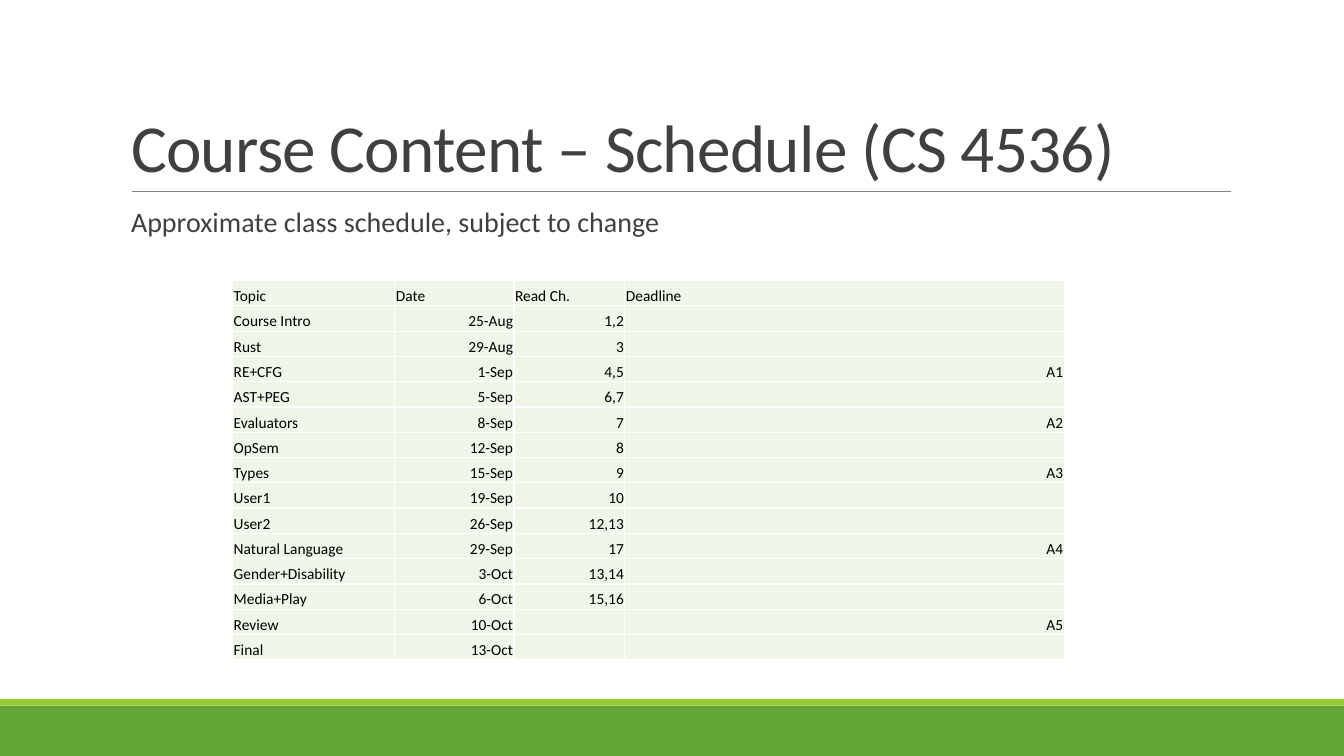
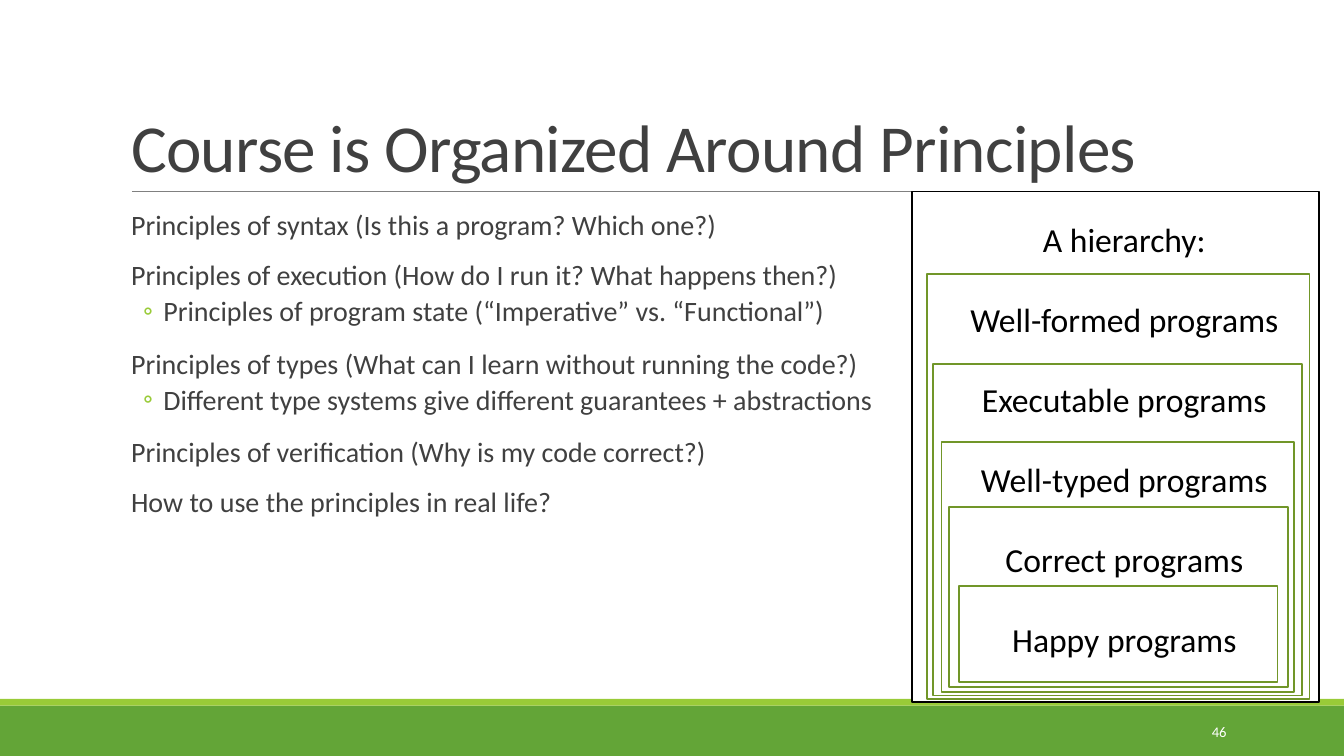
from dataclasses import dataclass

from lxml.etree import SubElement
from pptx import Presentation
from pptx.dml.color import RGBColor
from pptx.enum.shapes import MSO_CONNECTOR, MSO_SHAPE
from pptx.enum.text import MSO_ANCHOR, MSO_AUTO_SIZE, PP_ALIGN
from pptx.oxml.ns import qn
from pptx.shapes.shapetree import GroupShapes, SlideShapes
from pptx.slide import Slide
from pptx.table import _Cell
from pptx.text.text import TextFrame, _Paragraph
from pptx.util import Emu, Inches, Pt

WIDTH, HEIGHT = Inches(13.333), Inches(7.5)
COLS, ROWS = 160, 90

FONT = "Calibri"
BLACK, WHITE, TEXT, RULE = "000000", "FFFFFF", "404040", "808080"
GREEN, LIME, OLIVE, PALE = "63A537", "99CB38", "719629", "EFF6E8"


@dataclass(frozen=True)
class Box:
    col: float
    row: float
    cols: float
    rows: float

    def emu(self) -> tuple[Emu, Emu, Emu, Emu]:
        return across(self.col), down(self.row), across(self.cols), down(self.rows)


@dataclass(frozen=True)
class Level:
    margin: float
    hanging: float
    before: float
    after: float
    bullet: str


@dataclass(frozen=True)
class Item:
    text: str
    level: int = 0


@dataclass(frozen=True)
class Frame:
    box: Box
    line: str = OLIVE


@dataclass(frozen=True)
class Session:
    topic: str
    date: str
    chapters: str = ""
    deadline: str = ""

    def cells(self) -> tuple[str, ...]:
        return self.topic, self.date, self.chapters, self.deadline


LEVELS = (Level(0.1, 0.1, 12, 2, " "), Level(0.42, 0.2, 2, 4, "◦"))
TITLE = Box(14.4, 3.7, 132, 19.1)
BANDS = ((Box(0, 84, COLS, 6), GREEN), (Box(0, 83.2, COLS, 0.8), LIME))

TABLE_COLS = (19.3, 14.2, 13.2, 52.3)
TABLE_ROW = 3.01
SCHEDULE = (
    Session("Topic", "Date", "Read Ch.", "Deadline"),
    Session("Course Intro", "25-Aug", "1,2"),
    Session("Rust", "29-Aug", "3"),
    Session("RE+CFG", "1-Sep", "4,5", "A1"),
    Session("AST+PEG", "5-Sep", "6,7"),
    Session("Evaluators", "8-Sep", "7", "A2"),
    Session("OpSem", "12-Sep", "8"),
    Session("Types", "15-Sep", "9", "A3"),
    Session("User1", "19-Sep", "10"),
    Session("User2", "26-Sep", "12,13"),
    Session("Natural Language", "29-Sep", "17", "A4"),
    Session("Gender+Disability", "3-Oct", "13,14"),
    Session("Media+Play", "6-Oct", "15,16"),
    Session("Review", "10-Oct", "", "A5"),
    Session("Final", "13-Oct"),
)

PRINCIPLES = (
    Item("Principles of syntax (Is this a program? Which one?)"),
    Item("Principles of execution (How do I run it? What happens then?)"),
    Item("Principles of program state (“Imperative” vs. “Functional”)", 1),
    Item("Principles of types (What can I learn without running the code?)"),
    Item("Different type systems give different guarantees + abstractions", 1),
    Item("Principles of verification (Why is my code correct?)"),
    Item("How to use the principles in real life?"),
)

FRAMES = (
    Frame(Box(108.6, 22.8, 48.4, 60.8), BLACK),
    Frame(Box(110.4, 32.6, 45.5, 50.6)),
    Frame(Box(111.1, 43.3, 43.9, 39.5)),
    Frame(Box(112.1, 52.6, 42, 29.8)),
    Frame(Box(113, 60.4, 40.3, 21.4)),
    Frame(Box(114.2, 69.8, 37.9, 11.4)),
)
HIERARCHY = (
    "A hierarchy:",
    "Well-formed programs",
    "Executable programs",
    "Well-typed programs",
    "Correct programs",
    "Happy programs",
)


def across(cols: float) -> Emu:
    return Emu(round(WIDTH * cols / COLS))


def down(rows: float) -> Emu:
    return Emu(round(HEIGHT * rows / ROWS))


def rgb(color: str) -> RGBColor:
    return RGBColor.from_string(color)


def add_run(p: _Paragraph, text: str, size: float, color: str):
    r = p.add_run()
    r.text = text
    r.font.name = FONT
    r.font.size = Pt(size)
    r.font.color.rgb = rgb(color)
    return r


def next_paragraph(tf: TextFrame, index: int) -> _Paragraph:
    return tf.add_paragraph() if index else tf.paragraphs[0]


def add_text_box(shapes: SlideShapes | GroupShapes, box: Box) -> TextFrame:
    tf = shapes.add_textbox(*box.emu()).text_frame
    tf.word_wrap = True
    return tf


def add_rect(shapes: SlideShapes | GroupShapes, box: Box, fill: str, line: str = "") -> None:
    sp = shapes.add_shape(MSO_SHAPE.RECTANGLE, *box.emu())
    sp.shadow.inherit = False
    sp.fill.solid()
    sp.fill.fore_color.rgb = rgb(fill)
    if line:
        sp.line.color.rgb = rgb(line)
        sp.line.width = Pt(1.25)
    else:
        sp.line.fill.background()


def add_rule(s: Slide) -> None:
    y = down(22.8)
    line = s.shapes.add_connector(MSO_CONNECTOR.STRAIGHT, across(15.7), y, across(146.5), y)
    line.line.color.rgb = rgb(RULE)
    line.line.width = Pt(0.5)
    SubElement(line._element.spPr, qn("a:effectLst"))


def add_titled_slide(prs: Presentation, title: str) -> Slide:
    s = prs.slides.add_slide(prs.slide_layouts[5])
    for box, fill in BANDS:
        add_rect(s.shapes, box, fill)
    add_rule(s)
    sp = s.shapes.title
    sp.left, sp.top, sp.width, sp.height = TITLE.emu()
    tf = sp.text_frame
    tf.auto_size = MSO_AUTO_SIZE.NONE
    tf.vertical_anchor = MSO_ANCHOR.BOTTOM
    p = tf.paragraphs[0]
    p.alignment = PP_ALIGN.LEFT
    p.line_spacing = 0.85
    r = add_run(p, title, 48, TEXT)
    r.font._element.set("spc", "-50")
    return s


def add_body(s: Slide, box: Box, items: tuple[Item, ...]) -> None:
    tf = add_text_box(s.shapes, box)
    tf.margin_left = tf.margin_right = 0
    for i, item in enumerate(items):
        level = LEVELS[item.level]
        p = next_paragraph(tf, i)
        p.level = item.level
        p.line_spacing = 0.9
        p.space_before = Pt(level.before)
        p.space_after = Pt(level.after)
        pPr = p._p.get_or_add_pPr()
        pPr.set("marL", str(Inches(level.margin)))
        pPr.set("indent", str(-Inches(level.hanging)))
        color = SubElement(pPr, qn("a:buClr"))
        SubElement(color, qn("a:srgbClr"), val=LIME)
        SubElement(pPr, qn("a:buFont"), typeface=FONT)
        SubElement(pPr, qn("a:buChar"), char=level.bullet)
        add_run(p, item.text, 20, TEXT)


def format_cell(cell: _Cell, text: str, align: PP_ALIGN) -> None:
    cell.margin_left = cell.margin_right = cell.margin_top = Inches(0.01)
    cell.margin_bottom = 0
    cell.vertical_anchor = MSO_ANCHOR.BOTTOM
    p = cell.text_frame.paragraphs[0]
    p.alignment = align
    if text:
        add_run(p, text, 11, BLACK)
    else:
        SubElement(p._p, qn("a:endParaRPr"), sz="1100")
    tcPr = cell._tc.get_or_add_tcPr()
    for side in ("lnL", "lnR", "lnT", "lnB"):
        border = SubElement(tcPr, qn(f"a:{side}"), w=str(Pt(1)))
        fill = SubElement(border, qn("a:solidFill"))
        SubElement(fill, qn("a:srgbClr"), val=WHITE)
    cell.fill.solid()
    cell.fill.fore_color.rgb = rgb(PALE)


def add_schedule(s: Slide) -> None:
    box = Box(27.7, 33.4, sum(TABLE_COLS), TABLE_ROW * len(SCHEDULE))
    table = s.shapes.add_table(len(SCHEDULE), len(TABLE_COLS), *box.emu()).table
    table.first_row = table.horz_banding = False
    for column, cols in zip(table.columns, TABLE_COLS):
        column.width = across(cols)
    for i, session in enumerate(SCHEDULE):
        table.rows[i].height = down(TABLE_ROW)
        for j, text in enumerate(session.cells()):
            align = PP_ALIGN.RIGHT if i and j else PP_ALIGN.LEFT
            format_cell(table.cell(i, j), text, align)


def add_hierarchy(s: Slide) -> None:
    shapes = s.shapes.add_group_shape().shapes
    for frame in FRAMES:
        add_rect(shapes, frame.box, WHITE, frame.line)
    tf = add_text_box(shapes, Box(108.6, 25.5, 50.5, 54.5))
    for i, text in enumerate(HIERARCHY):
        p = next_paragraph(tf, i)
        p.alignment = PP_ALIGN.CENTER
        p.space_after = Pt(28.3)
        add_run(p, text, 24, BLACK)


def add_slide_number(s: Slide, number: int) -> None:
    tf = add_text_box(s.shapes, Box(130, 84.7, 17.2, 4.8))
    tf.vertical_anchor = MSO_ANCHOR.MIDDLE
    p = tf.paragraphs[0]
    p.alignment = PP_ALIGN.RIGHT
    add_run(p, str(number), 10.5, WHITE)


def main() -> None:
    prs = Presentation()
    prs.slide_width, prs.slide_height = WIDTH, HEIGHT

    s = add_titled_slide(prs, "Course Content – Schedule (CS 4536)")
    add_body(s, Box(14.4, 24.2, 132, 8), (Item("Approximate class schedule, subject to change"),))
    add_schedule(s)

    s = add_titled_slide(prs, "Course is Organized Around Principles")
    add_body(s, Box(14.4, 24.6, 140, 57.7), PRINCIPLES)
    add_slide_number(s, 46)
    add_hierarchy(s)

    prs.save("out.pptx")


if __name__ == "__main__":
    main()
